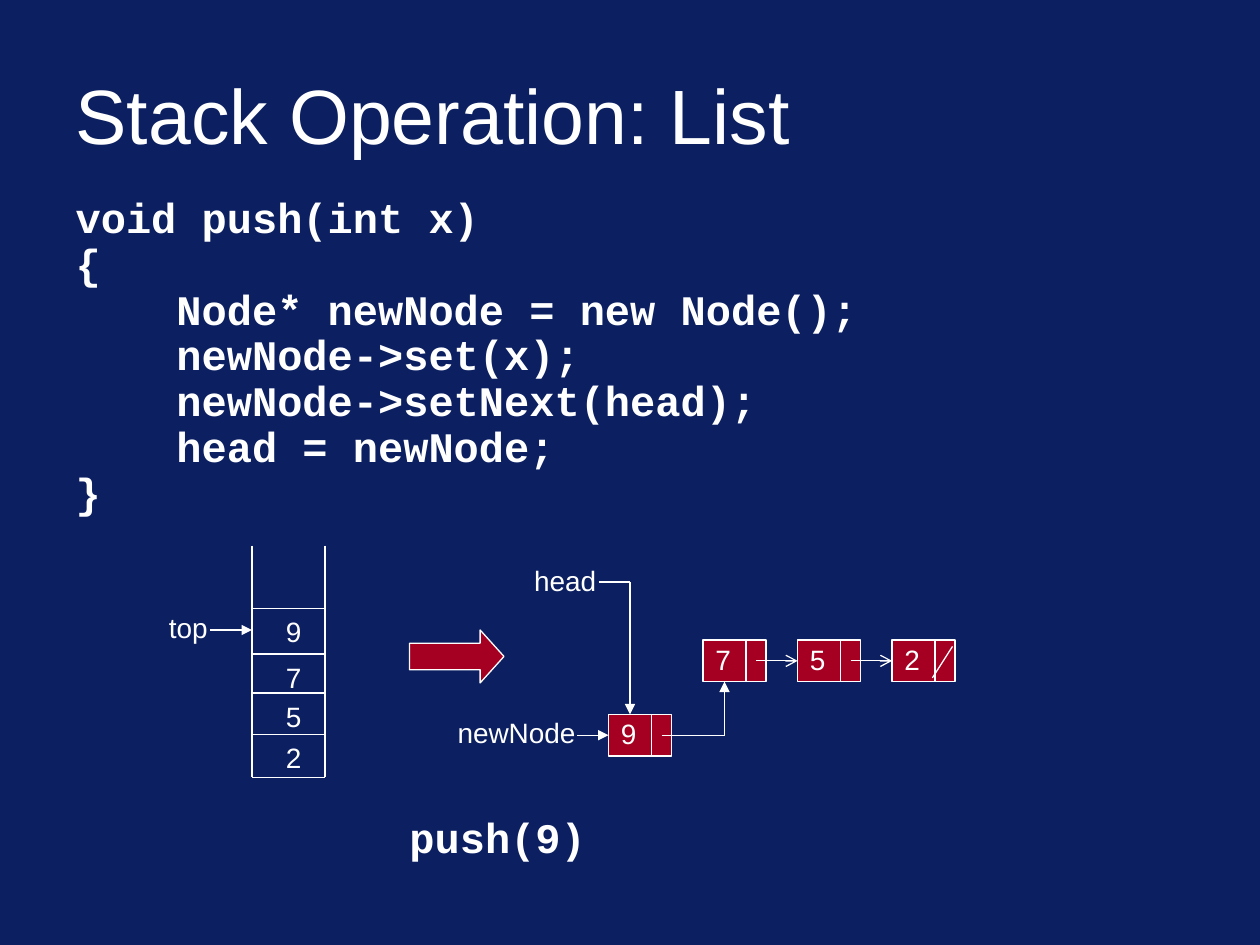
from pptx import Presentation
from pptx.dml.color import RGBColor
from pptx.enum.shapes import MSO_CONNECTOR, MSO_SHAPE as SHAPE
from pptx.enum.text import MSO_ANCHOR, MSO_AUTO_SIZE, PP_ALIGN as ALIGN
from pptx.oxml.ns import qn
from pptx.util import Inches, Pt
from lxml.etree import SubElement

NAVY = RGBColor(0x0B, 0x1F, 0x61)
RED = RGBColor(0xA5, 0x00, 0x21)
WHITE = RGBColor(0xFF, 0xFF, 0xFF)

TITLE = "Stack Operation: List"
CODE = [
    "void push(int x)",
    "{",
    "    Node* newNode = new Node();",
    "    newNode->set(x);",
    "    newNode->setNext(head);",
    "    head = newNode;",
    "}",
]
# Stack cells from top to bottom: value, top edge
STACK = [("9", 4.83), ("7", 5.19), ("5", 5.5), ("2", 5.83)]
STACK_LEFT, STACK_RIGHT, STACK_TOP, STACK_BOTTOM = 2, 2.58, 4.33, 6.17
# Labels: text, left, top, width
LABELS = [("top", 1.24, 4.8, 0.51), ("head", 4.14, 4.42, 0.69), ("newNode", 3.52, 5.63, 1.16)]
OLD_NODES = ["7", "5", "2"]
LIST_LEFT, LIST_TOP, NODE_STEP = 5.58, 5.08, 0.75
NEW_LEFT, NEW_TOP = 4.83, 5.67
NODE_W, NODE_H, POINTER_X = 0.5, 0.33, 0.34


def style_text(p, size=16, name="Arial", bold=False):
    p.font.size, p.font.name, p.font.bold = Pt(size), name, bold
    p.font.color.rgb = WHITE


def place(shape, *box):
    shape.left, shape.top, shape.width, shape.height = map(Inches, box)


def add_label(s, text, left, top, width, height=0.37, align=ALIGN.CENTER, **font):
    tf = s.shapes.add_textbox(*map(Inches, (left, top, width, height))).text_frame
    tf.word_wrap = False
    tf.auto_size = MSO_AUTO_SIZE.SHAPE_TO_FIT_TEXT
    p = tf.paragraphs[0]
    p.text, p.alignment = text, align
    style_text(p, **font)


def add_line(s, x1, y1, x2, y2, head=None, target=None):
    """Draw a thin line, with an arrowhead at its end and joined to target's left side if given."""
    line = s.shapes.add_connector(MSO_CONNECTOR.STRAIGHT, *map(Inches, (x1, y1, x2, y2)))
    line.line.color.rgb = WHITE
    line.line.width = Pt(0.75)
    if head:
        SubElement(line.line._get_or_add_ln(), qn("a:tailEnd"), type=head)
    SubElement(line._element.spPr, qn("a:effectLst"))
    if target is not None:
        line.end_connect(target, 1)


def add_red_shape(s, kind, *box):
    shape = s.shapes.add_shape(kind, *map(Inches, box))
    shape.shadow.inherit = False
    shape.fill.solid()
    shape.fill.fore_color.rgb = RED
    shape.line.color.rgb = WHITE
    shape.line.width = Pt(0.75)
    return shape


def add_node(s, value, left, top):
    node = add_red_shape(s, SHAPE.RECTANGLE, left, top, NODE_W, NODE_H)
    add_line(s, left + POINTER_X, top, left + POINTER_X, top + NODE_H)
    add_label(s, value, left, top - 0.03, 0.32, align=ALIGN.LEFT)
    return node


def add_heading_and_code(s):
    title, body = s.placeholders
    place(title, 0.5, 0.4, 9, 1)
    title.text_frame.text = TITLE
    title.text_frame.vertical_anchor = MSO_ANCHOR.MIDDLE
    title.text_frame.paragraphs[0].alignment = ALIGN.LEFT
    style_text(title.text_frame.paragraphs[0], 44)

    place(body, 0.5, 1.58, 9, 2.58)
    tf = body.text_frame
    tf.auto_size = MSO_AUTO_SIZE.NONE
    tf.text = "\n".join(CODE)
    for i, p in enumerate(tf.paragraphs):
        p.line_spacing = 0.7
        p.space_before = Pt(6 if i else 0)
        SubElement(p._p.get_or_add_pPr(), qn("a:buNone"))
        style_text(p, 24, "Courier New", True)


def add_stack(s):
    for x in (STACK_LEFT, STACK_RIGHT):
        add_line(s, x, STACK_TOP, x, STACK_BOTTOM)
    for y in [top for _, top in STACK] + [STACK_BOTTOM]:
        add_line(s, STACK_LEFT, y, STACK_RIGHT, y)
    for value, top in STACK:
        add_label(s, value, 2.17, top, 0.32)
    add_line(s, 1.67, 5, STACK_LEFT, 5, "triangle")


def add_linked_list(s):
    lefts = [LIST_LEFT + i * NODE_STEP for i in range(len(OLD_NODES))]
    nodes = [add_node(s, value, x, LIST_TOP) for value, x in zip(OLD_NODES, lefts)]
    mid = LIST_TOP + NODE_H / 2
    for x, target in zip(lefts, nodes[1:]):
        add_line(s, x + 0.42, mid, x + NODE_STEP, mid, "arrow", target)
    add_line(s, lefts[-1] + 0.48, 5.13, lefts[-1] + 0.32, 5.38)  # null pointer

    new_node = add_node(s, "9", NEW_LEFT, NEW_TOP)
    mid = NEW_TOP + NODE_H / 2
    add_line(s, 4.58, mid, NEW_LEFT, mid, "triangle", new_node)
    add_line(s, 5.25, mid, 5.75, mid)
    add_line(s, 5.75, mid, 5.75, LIST_TOP + NODE_H, "triangle")
    add_line(s, 4.75, 4.62, 5, 4.62)
    add_line(s, 5, 4.62, 5, NEW_TOP, "triangle")


def main():
    prs = Presentation()
    prs.slide_width, prs.slide_height = Inches(10), Inches(7.5)
    s = prs.slides.add_slide(prs.slide_layouts[1])
    s.background.fill.solid()
    s.background.fill.fore_color.rgb = NAVY

    add_heading_and_code(s)
    add_stack(s)
    arrow = add_red_shape(s, SHAPE.RIGHT_ARROW, 3.25, 5, 0.75, 0.42)
    arrow.adjustments[1] = 0.45
    add_linked_list(s)
    for label in LABELS:
        add_label(s, *label)
    add_label(s, "push(9)", 3.15, 6.39, 1.6, 0.5, size=24, name="Courier New", bold=True)
    prs.save("out.pptx")


if __name__ == "__main__":
    main()
